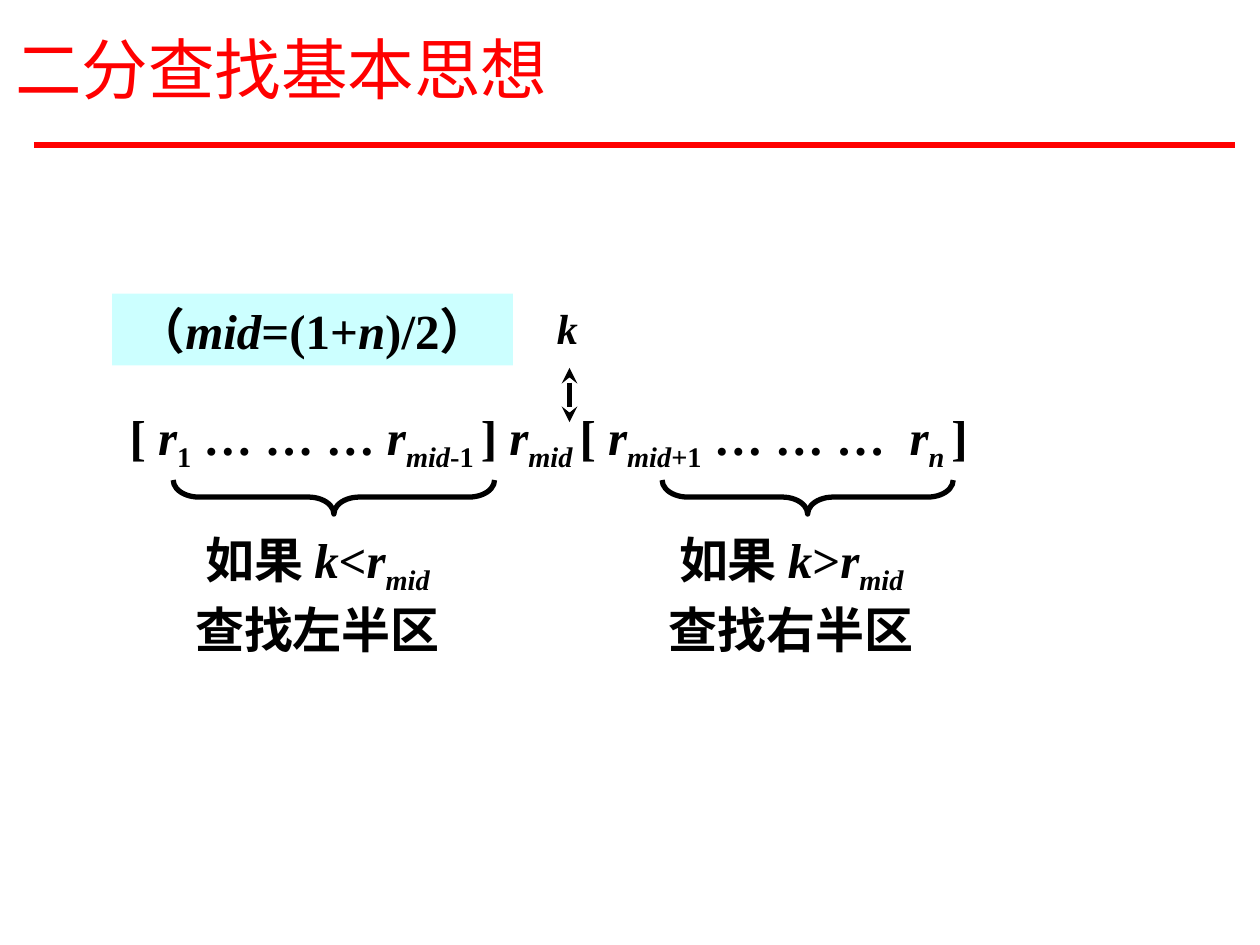
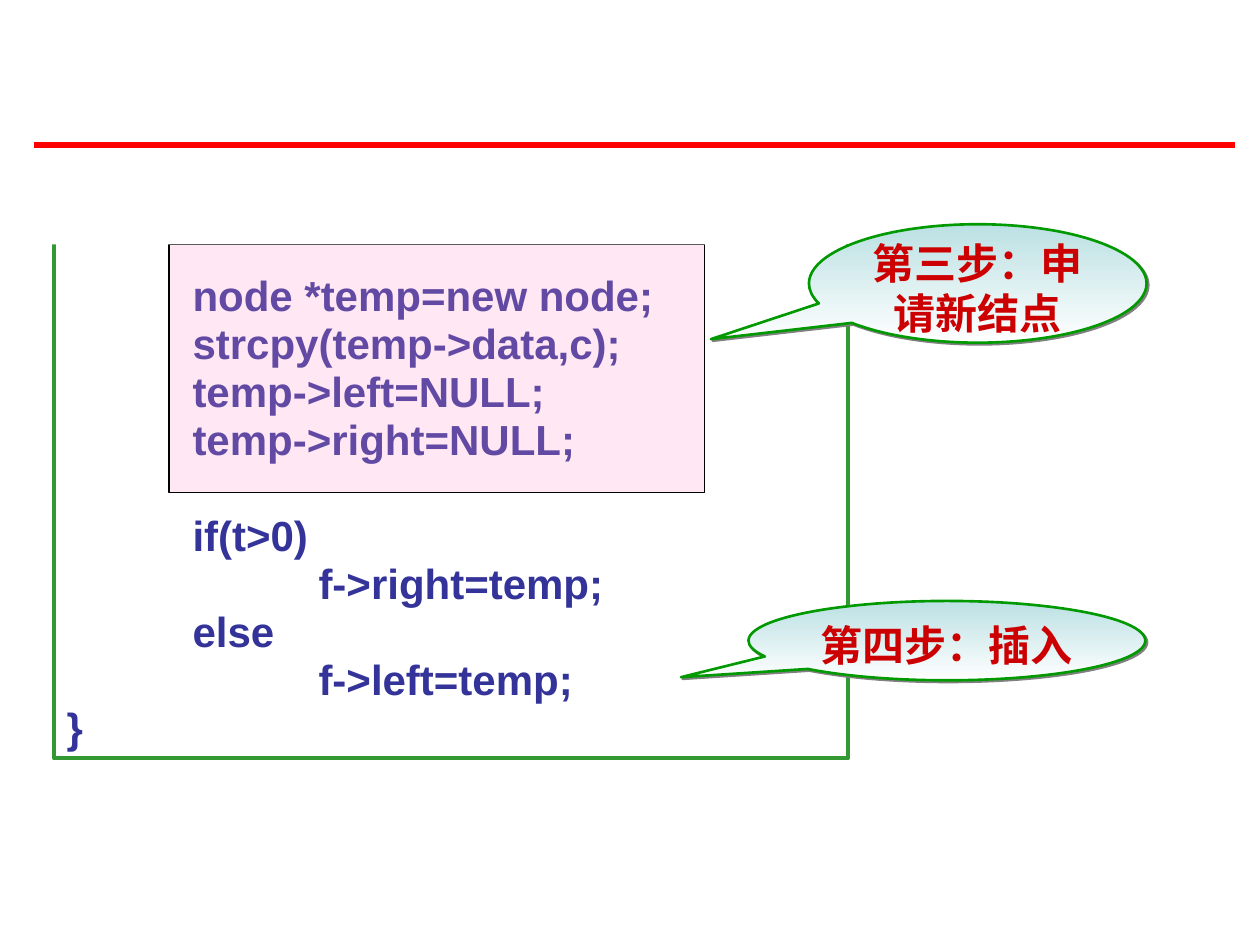
from dataclasses import dataclass

import pptx
import pptx.dml.color
import pptx.enum.dml
import pptx.enum.shapes
import pptx.enum.text
import pptx.oxml
import pptx.oxml.ns
import pptx.util
from lxml import etree

Inches, Pt = pptx.util.Inches, pptx.util.Pt
SHAPE = pptx.enum.shapes.MSO_SHAPE
ALIGN = pptx.enum.text.PP_ALIGN
ANCHOR = pptx.enum.text.MSO_ANCHOR
qn = pptx.oxml.ns.qn


@dataclass(frozen=True)
class Theme:
    red: str = "FF0000"
    black: str = "000000"
    white: str = "FFFFFF"
    cyan: str = "CCFFFF"
    frame_green: str = "339933"
    code_blue: str = "333399"
    pink: str = "FF99CC"
    callout_top: str = "BBE0E3"
    callout_line: str = "009900"
    callout_text: str = "CC0000"
    shadow: str = "808080"
    sans: str = "Arial"
    serif: str = "Times New Roman"
    east_asian: str = "Noto Sans CJK SC"
    title: int = 38
    formula: int = 28
    body: int = 24


T = Theme()
TITLE_ONLY, BLANK = 5, 6

# Run styles: i = italic, s = subscript, w = widened space
MID = [("r", "i"), ("mid", "is")]
SEQUENCE = [
    ("[ ", ""), ("r", "i"), ("1", "s"), (" … … … ", ""),
    ("r", "i"), ("mid", "is"), ("-1 ", "s"), ("] ", ""),
    *MID, (" ", "s"), ("[ ", ""),
    ("r", "i"), ("mid", "is"), ("+1", "s"), (" … … …", ""), (" ", "w"),
    ("r", "i"), ("n ", "is"), ("]", ""),
]
MIDPOINT = [("（", ""), ("mid", "i"), ("=(1+", ""), ("n", "i"), (")/2）", "")]
CODE = [
    "\tnode *temp=new node;",
    "\tstrcpy(temp->data,c);",
    "\ttemp->left=NULL;",
    "\ttemp->right=NULL;",
    "\tif(t>0)",
    "\t\tf->right=temp;",
    "\telse",
    "\t\tf->left=temp;",
    "}",
]


def rgb(color):
    return pptx.dml.color.RGBColor.from_string(color)


def box(left, top, width, height):
    return Inches(left), Inches(top), Inches(width), Inches(height)


def frame_text(shape, anchor=ANCHOR.TOP, insets=(0.1, 0.05, 0.1, 0.05), wrap=True):
    """Set up the text frame of a shape and return it."""
    tf = shape.text_frame
    tf.word_wrap = wrap
    tf.vertical_anchor = anchor
    tf.margin_left, tf.margin_top, tf.margin_right, tf.margin_bottom = map(Inches, insets)
    return tf


def format_paragraph(p, size, color, font, bold=True, align=ALIGN.LEFT, spacing=None):
    p.alignment = align
    if spacing:
        p.line_spacing = spacing
    p.font.size, p.font.bold, p.font.name = Pt(size), bold, font
    p.font.color.rgb = rgb(color)
    etree.SubElement(p._p.pPr.find(qn("a:defRPr")), qn("a:ea"), typeface=T.east_asian)


def add_runs(p, runs):
    for text, style in runs:
        r = p.add_run()
        r.text = text
        if "i" in style:
            r.font.italic = True
        if "s" in style:
            r._r.get_or_add_rPr().set("baseline", "-25000")
        if "w" in style:
            r._r.get_or_add_rPr().set("spc", "700")


def add_math(tf, lines, size=T.formula, align=ALIGN.LEFT, spacing=None):
    for i, runs in enumerate(lines):
        p = tf.add_paragraph() if i else tf.paragraphs[0]
        add_runs(p, runs)
        format_paragraph(p, size, T.black, T.serif, align=align, spacing=spacing)


def add_shape(s, kind, at, fill=None, line=None, width=1):
    sp = s.shapes.add_shape(kind, *box(*at))
    sp.shadow.inherit = False
    if fill:
        sp.fill.solid()
        sp.fill.fore_color.rgb = rgb(fill)
    else:
        sp.fill.background()
    if line:
        sp.line.color.rgb = rgb(line)
        sp.line.width = Pt(width)
    else:
        sp.line.fill.background()
    return sp


def add_line(s, x1, y1, x2, y2, color):
    line = s.shapes.add_connector(
        pptx.enum.shapes.MSO_CONNECTOR.STRAIGHT,
        Inches(x1), Inches(y1), Inches(x2), Inches(y2))
    line.line.color.rgb = rgb(color)
    line.line.width = Pt(3)
    etree.SubElement(line._element.spPr, qn("a:effectLst"))
    return line


def new_slide(prs, title=None):
    """Add a slide with the red rule and, if given, a title."""
    s = prs.slides.add_slide(prs.slide_layouts[TITLE_ONLY if title else BLANK])
    add_line(s, 0.27, 1.15, 9.8, 1.15, T.red)
    if title:
        sp = s.shapes.title
        sp.left, sp.top, sp.width, sp.height = box(0.02, 0, 9, 1.07)
        tf = frame_text(sp, ANCHOR.MIDDLE)
        tf.text = title
        format_paragraph(tf.paragraphs[0], T.title, T.red, T.sans, bold=False)
    return s


def add_half(s, center, top, width, sign, action):
    """Draw a brace under one half of the sequence, with its rule below."""
    depth, label_width = 0.27, 2.6
    brace = add_shape(
        s, SHAPE.LEFT_BRACE,
        (center - depth / 2, top + depth / 2 - width / 2, depth, width),
        line=T.black, width=3)
    brace.adjustments[0] = 0.75
    brace.rotation = 270
    label_left = center - 0.13 - label_width / 2
    label = s.shapes.add_textbox(*box(label_left, top + 0.39, label_width, 1.1))
    add_math(frame_text(label),
             [[("如果", ""), (" k", "i"), (sign, ""), *MID], [(action, "")]],
             align=ALIGN.CENTER, spacing=Pt(35))


def add_key_pointer(s, left, top):
    """Draw the key k with a double arrow down to the middle record."""
    key = s.shapes.add_textbox(*box(left, top, 0.22, 0.3))
    add_math(frame_text(key, insets=(0, 0, 0, 0)), [[("k", "i")]], T.body, spacing=0.8)
    arrow = add_line(s, left + 0.1, top + 0.44, left + 0.1, top + 0.87, T.black)
    ln = arrow.line._get_or_add_ln()
    for end in ("a:headEnd", "a:tailEnd"):
        etree.SubElement(ln, qn(end), type="stealth")


def add_search_diagram(s, left, top):
    midpoint = add_shape(s, SHAPE.RECTANGLE, (left, top, 3.18, 0.57), fill=T.cyan)
    add_math(frame_text(midpoint, ANCHOR.MIDDLE, wrap=False), [MIDPOINT],
             align=ALIGN.CENTER)
    add_key_pointer(s, left + 3.53, top + 0.15)
    sequence = s.shapes.add_textbox(*box(left + 0.04, top + 0.85, 7.4, 0.63))
    add_math(frame_text(sequence), [SEQUENCE], spacing=Pt(38))
    add_half(s, left + 1.76, top + 1.48, 2.55, "<", "查找左半区")
    add_half(s, left + 5.52, top + 1.48, 2.31, ">", "查找右半区")


def add_code_frame(s, left, top, width, height):
    """Draw the framed code, open at the top, with its first block tinted."""
    pitch = Pt(27.4)
    frame = add_shape(s, SHAPE.RECTANGLE, (left, top, width, height),
                      line=T.frame_green, width=2.25)
    tf = frame_text(frame, insets=(0.1, 0.44, 0.1, 0.05))
    for i, text in enumerate(CODE):
        p = tf.add_paragraph() if i else tf.paragraphs[0]
        p.add_run().text = text
        tabs = etree.SubElement(p._p.get_or_add_pPr(), qn("a:tabLst"))
        for stop in (1, 2):
            etree.SubElement(tabs, qn("a:tab"), pos=str(Inches(stop)), algn="l")
        format_paragraph(p, T.body, T.code_blue, T.sans, spacing=pitch)
        if text.endswith("if(t>0)"):
            p.space_before = pitch

    tint = add_shape(s, SHAPE.RECTANGLE, (left + 0.91, top + 0.22, 4.25, 1.97),
                     fill=T.pink, line=T.black, width=0.75)
    color = tint._element.spPr.find(qn("a:solidFill")).find(qn("a:srgbClr"))
    etree.SubElement(color, qn("a:alpha"), val="23000")
    add_shape(s, SHAPE.RECTANGLE, (left - 0.16, top - 0.41, width + 0.55, 0.63),
              fill=T.white)


def add_step_callout(s, at, tip, text):
    sp = add_shape(s, SHAPE.OVAL_CALLOUT, at, line=T.callout_line, width=1.5)
    sp.adjustments[0], sp.adjustments[1] = tip
    sp.fill.gradient()
    sp.fill.gradient_angle = 270
    for stop, color in zip(sp.fill.gradient_stops, (T.callout_top, T.white)):
        stop.color.rgb = rgb(color)
    shadow = etree.SubElement(
        sp._element.spPr.find(qn("a:effectLst")), qn("a:outerShdw"),
        dist=str(Pt(1.4)), dir="2700000", algn="ctr", rotWithShape="0")
    etree.SubElement(shadow, qn("a:srgbClr"), val=T.shadow)
    tf = frame_text(sp, ANCHOR.MIDDLE, insets=(0.1, 0.12, 0.1, 0.05))
    p = tf.paragraphs[0]
    p.add_run().text = text
    format_paragraph(p, T.body, T.callout_text, T.sans,
                     align=ALIGN.CENTER, spacing=Pt(28.5))


def main():
    prs = pptx.Presentation()
    prs.slide_width, prs.slide_height = Inches(10), Inches(7.5)

    s = new_slide(prs, "二分查找基本思想")
    add_search_diagram(s, 0.89, 2.33)

    s = new_slide(prs)
    add_code_frame(s, 0.43, 1.72, 6.3, 4.3)
    add_step_callout(s, (6.42, 1.78, 2.68, 0.94), (-0.79, 0.47), "第三步：申请新结点")
    add_step_callout(s, (5.94, 4.77, 3.15, 0.63), (-0.67, 0.46), "第四步：插入")

    prs.save("out.pptx")


if __name__ == "__main__":
    main()
